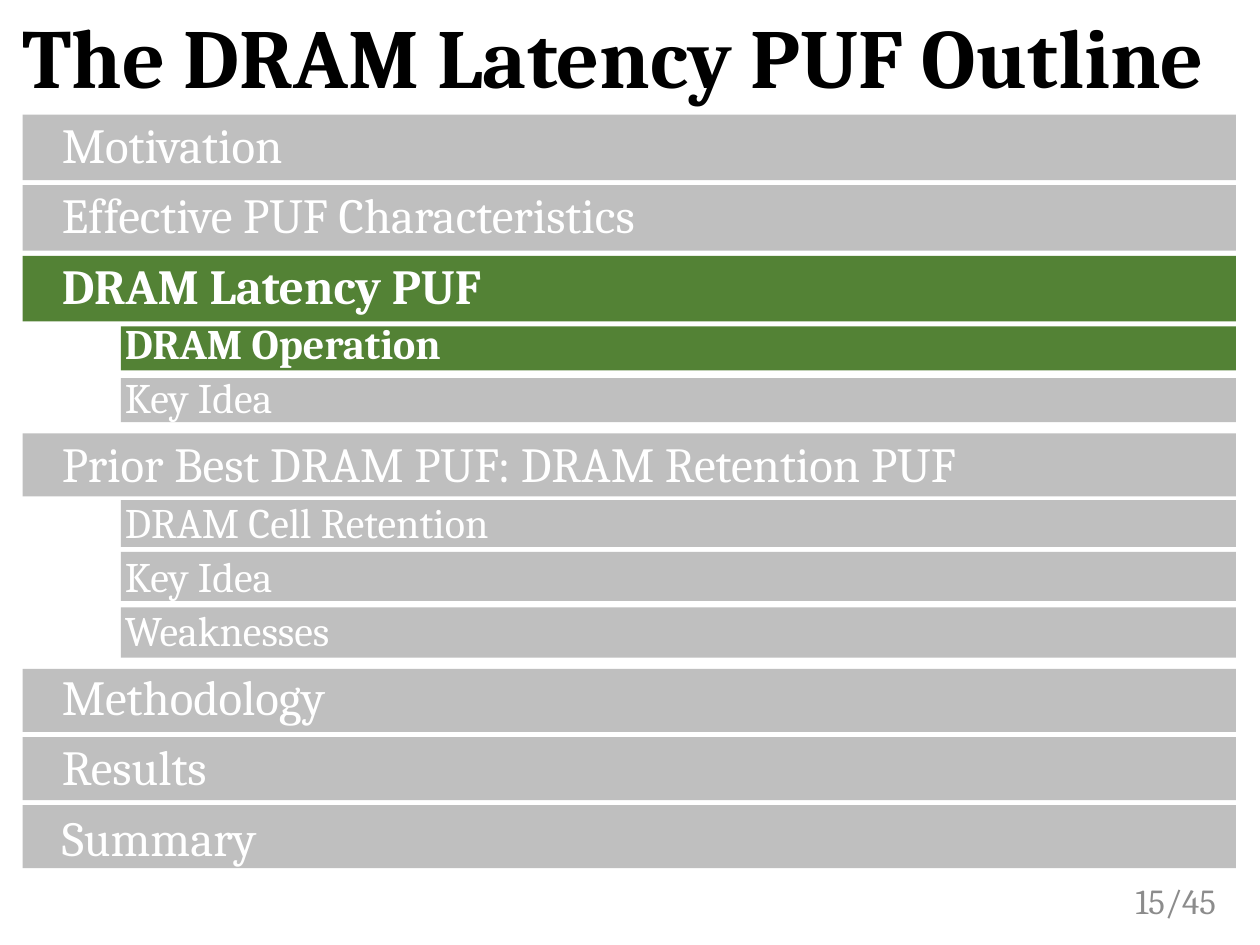
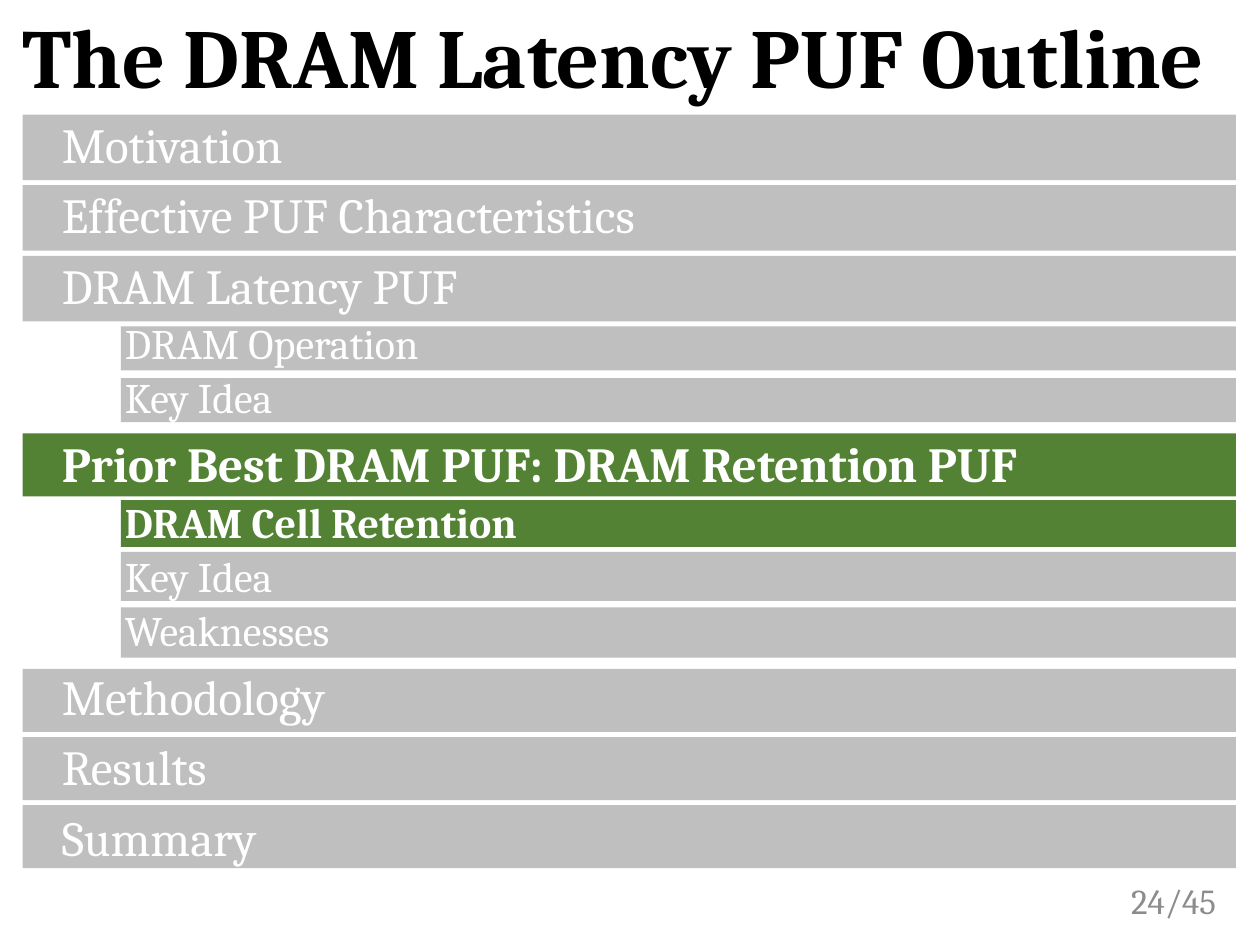
import pptx
import pptx.dml.color
import pptx.enum.shapes
import pptx.enum.text
import pptx.util
from lxml import etree
from pptx.dml.color import RGBColor
from pptx.util import Inches

# Shared look
FONT = "Cambria"
BLACK = RGBColor(0x00, 0x00, 0x00)
WHITE = RGBColor(0xFF, 0xFF, 0xFF)
BAND_GRAY = RGBColor(0xBF, 0xBF, 0xBF)
CURRENT_GREEN = RGBColor(0x53, 0x82, 0x35)
NUMBER_GRAY = RGBColor(0x8C, 0x8C, 0x8C)

TITLE = "The DRAM Latency PUF Outline"
SLIDE_TOTAL = 45
BAND_RIGHT = 9.81
BAND_LEFT = (0.18, 0.96)  # by outline level
TEXT_SIZE = (28, 24)
SPACE_BEFORE = (10, 5)

# Topic, outline level, band top, band height
OUTLINE = [
    ("Motivation", 0, 0.91, 0.52),
    ("Effective PUF Characteristics", 0, 1.47, 0.52),
    ("DRAM Latency PUF", 0, 2.03, 0.52),
    ("DRAM Operation", 1, 2.59, 0.35),
    ("Key Idea", 1, 3.0, 0.35),
    ("Prior Best DRAM PUF: DRAM Retention PUF", 0, 3.44, 0.5),
    ("DRAM Cell Retention", 1, 3.97, 0.37),
    ("Key Idea", 1, 4.38, 0.39),
    ("Weaknesses", 1, 4.82, 0.4),
    ("Methodology", 0, 5.31, 0.5),
    ("Results", 0, 5.85, 0.5),
    ("Summary", 0, 6.39, 0.5),
]

# Slide number and the current topics on that slide
OUTLINE_SLIDES = [
    (15, ("DRAM Latency PUF", "DRAM Operation")),
    (24, ("Prior Best DRAM PUF: DRAM Retention PUF", "DRAM Cell Retention")),
]


def place(shape, left, top, width, height):
    shape.left, shape.top = Inches(left), Inches(top)
    shape.width, shape.height = Inches(width), Inches(height)


def prepare_frame(frame, anchor):
    frame.word_wrap = True
    frame.auto_size = pptx.enum.text.MSO_AUTO_SIZE.NONE
    frame.vertical_anchor = anchor


def format_runs(paragraph, size, color, bold=False):
    for run in paragraph.runs:
        run.font.name = FONT
        run.font.size = pptx.util.Pt(size)
        run.font.bold = bold
        run.font.color.rgb = color


def add_title(slide):
    title = slide.shapes.title
    place(title, 0.08, 0.08, 9.83, 0.81)
    title.text_frame.text = TITLE
    prepare_frame(title.text_frame, pptx.enum.text.MSO_ANCHOR.TOP)
    heading = title.text_frame.paragraphs[0]
    heading.alignment = pptx.enum.text.PP_ALIGN.LEFT
    heading.line_spacing = 0.9
    format_runs(heading, 48, BLACK, True)


def add_band(slide, level, top, height, color):
    left = BAND_LEFT[level]
    band = slide.shapes.add_shape(
        pptx.enum.shapes.MSO_SHAPE.RECTANGLE,
        Inches(left), Inches(top), Inches(BAND_RIGHT - left), Inches(height))
    band.shadow.inherit = False
    band.fill.solid()
    band.fill.fore_color.rgb = color
    band.line.fill.background()


def set_plain_indent(paragraph, level):
    """Indent by outline level, without a bullet."""
    paragraph.level = level
    properties = paragraph._p.get_or_add_pPr()
    properties.set("marL", str(Inches(0.5 * level)))
    properties.set("indent", "0")
    etree.SubElement(properties, pptx.oxml.ns.qn("a:buNone"))


def add_topics(slide, current):
    topics = slide.placeholders[1]
    place(topics, 0.39, 0.91, 8.88, 5.82)
    # The list lies in front of the bands
    topics.element.getparent().append(topics.element)
    frame = topics.text_frame
    frame.text = "\n".join(topic for topic, *_ in OUTLINE)
    prepare_frame(frame, pptx.enum.text.MSO_ANCHOR.TOP)
    for index, (topic, level, *_) in enumerate(OUTLINE):
        paragraph = frame.paragraphs[index]
        set_plain_indent(paragraph, level)
        paragraph.line_spacing = 0.9
        paragraph.space_before = pptx.util.Pt(SPACE_BEFORE[level] if index else 0)
        format_runs(paragraph, TEXT_SIZE[level], WHITE, topic in current)


def add_slide_number(slide, number):
    footer = slide.shapes.add_textbox(
        Inches(8.67), Inches(6.95), Inches(1.08), Inches(0.4))
    footer.text_frame.text = f"{number}/{SLIDE_TOTAL}"
    prepare_frame(footer.text_frame, pptx.enum.text.MSO_ANCHOR.MIDDLE)
    paragraph = footer.text_frame.paragraphs[0]
    paragraph.alignment = pptx.enum.text.PP_ALIGN.RIGHT
    format_runs(paragraph, 20, NUMBER_GRAY)


def add_outline_slide(deck, number, current):
    slide = deck.slides.add_slide(deck.slide_layouts[1])
    add_slide_number(slide, number)
    add_title(slide)
    for topic, level, top, height in OUTLINE:
        color = CURRENT_GREEN if topic in current else BAND_GRAY
        add_band(slide, level, top, height, color)
    add_topics(slide, current)


def main():
    deck = pptx.Presentation()
    deck.slide_width, deck.slide_height = Inches(10), Inches(7.5)
    for number, current in OUTLINE_SLIDES:
        add_outline_slide(deck, number, current)
    deck.save("out.pptx")


if __name__ == "__main__":
    main()
